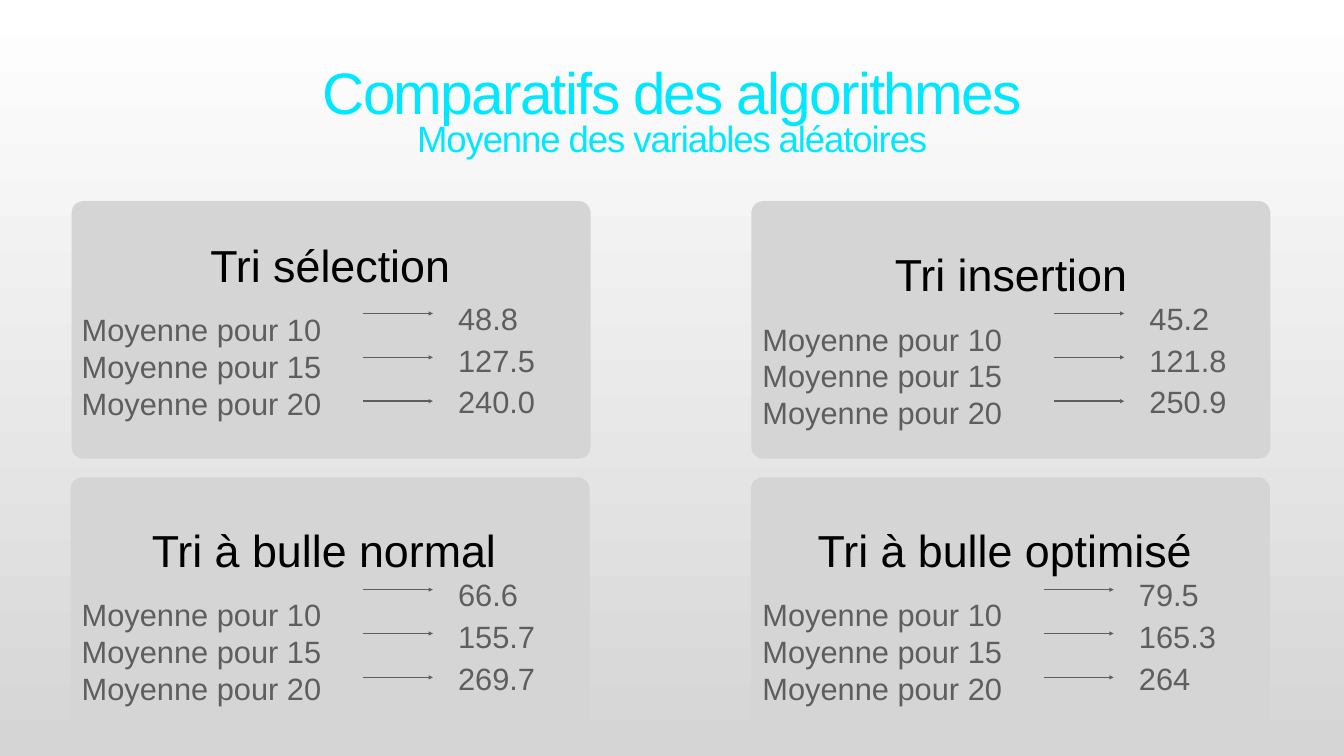
from pptx import Presentation
from pptx.dml.color import RGBColor
from pptx.enum.shapes import MSO_CONNECTOR, MSO_SHAPE
from pptx.enum.text import MSO_ANCHOR, MSO_AUTO_SIZE, PP_ALIGN
from pptx.oxml.ns import qn
from pptx.util import Inches, Pt
from lxml import etree

STRAIGHT = MSO_CONNECTOR.STRAIGHT
ROUNDED = MSO_SHAPE.ROUNDED_RECTANGLE
TOP, MIDDLE, BOTTOM = MSO_ANCHOR.TOP, MSO_ANCHOR.MIDDLE, MSO_ANCHOR.BOTTOM
FIT_SHAPE = MSO_AUTO_SIZE.SHAPE_TO_FIT_TEXT
LEFT, CENTER = PP_ALIGN.LEFT, PP_ALIGN.CENTER

COLORS = {
    "white": "FFFFFF",
    "card": "D5D5D5",
    "title": "00E8FF",
    "heading": "000000",
    "body": "5E5E5E",
}
SIZES = (10, 15, 20)
CARD_WIDTH, CARD_HEIGHT = 10.3, 5.11
ARROW_LENGTH, ARROW_STEP = 1.39, 0.87
VALUE_HEIGHT, VALUE_STEP = 0.94, 0.83

ALGORITHMS = [
    ("Tri sélection", (1.42, 3.99), (1.39, 3.99), 7.2, ("48.8", "127.5", "240.0")),
    ("Tri insertion", (14.91, 3.99), (14.9, 4.17), 20.92, ("45.2", "121.8", "250.9")),
    ("Tri à bulle normal ", (1.4, 9.47), (1.39, 9.64), 7.2, ("66.6", "155.7", "269.7")),
    ("Tri à bulle optimisé ", (14.9, 9.47), (14.9, 9.64), 20.71, ("79.5", "165.3", "264")),
]


def color(name):
    return RGBColor.from_string(COLORS[name])


class SlideBuilder:
    font = "Arial"
    inset = Inches(0.06)

    def __init__(self, slide):
        self.slide = slide

    def background(self, start, end):
        fill = self.slide.background.fill
        fill.gradient()
        fill.gradient_angle = 270
        for stop, name in zip(fill.gradient_stops, (start, end)):
            stop.color.rgb = color(name)

    def text_box(self, left, top, width, height, anchor, wrap=True):
        text_frame = self.slide.shapes.add_textbox(
            Inches(left), Inches(top), Inches(width), Inches(height)).text_frame
        text_frame.margin_left = text_frame.margin_right = self.inset
        text_frame.margin_top = text_frame.margin_bottom = self.inset
        text_frame.vertical_anchor = anchor
        text_frame.word_wrap = wrap
        return text_frame

    def style(self, paragraph, size, color_name, alignment=LEFT):
        paragraph.alignment = alignment
        for run in paragraph.runs:
            run.font.name = self.font
            run.font.size = Pt(size)
            run.font.color.rgb = color(color_name)

    def title(self, text, top, height, size, spacing, anchor):
        text_frame = self.text_box(1.39, top, 23.89, height, anchor)
        text_frame.text = text
        paragraph = text_frame.paragraphs[0]
        paragraph.line_spacing = 0.9
        self.style(paragraph, size, "title", CENTER)
        for run in paragraph.runs:
            run.font._element.set("spc", str(round(spacing * 100)))

    def card(self, left, top):
        shape = self.slide.shapes.add_shape(
            ROUNDED, Inches(left), Inches(top), Inches(CARD_WIDTH), Inches(CARD_HEIGHT))
        shape.adjustments[0] = 0.046
        shape.shadow.inherit = False
        shape.fill.solid()
        shape.fill.fore_color.rgb = color("card")
        shape.line.fill.background()

    def labels(self, heading, left, top):
        text_frame = self.text_box(left, top, 10.32, CARD_HEIGHT, MIDDLE)
        text_frame.text = heading
        heading_paragraph = text_frame.paragraphs[0]
        heading_paragraph.space_after = Pt(28)
        self.style(heading_paragraph, 64, "heading", CENTER)
        for size in SIZES:
            paragraph = text_frame.add_paragraph()
            paragraph.text = f"Moyenne pour {size}"
            paragraph._p.get_or_add_pPr().set("marL", str(Inches(0.17)))
            self.style(paragraph, 44, "body")

    def arrow(self, left, top):
        connector = self.slide.shapes.add_connector(
            STRAIGHT, Inches(left), Inches(top), Inches(left + ARROW_LENGTH), Inches(top))
        connector.line.color.rgb = color("body")
        connector.line.width = Pt(2)
        etree.SubElement(connector.line._get_or_add_ln(), qn("a:tailEnd"), type="triangle")
        etree.SubElement(connector._element.spPr, qn("a:effectLst"))

    def value(self, text, left, top):
        dots = text.count(".")
        width = 0.16 + 0.34 * (len(text) - dots) + 0.17 * dots
        text_frame = self.text_box(left, top, width, VALUE_HEIGHT, MIDDLE, wrap=False)
        text_frame.auto_size = FIT_SHAPE
        text_frame.text = text
        self.style(text_frame.paragraphs[0], 44, "body")


def main():
    presentation = Presentation()
    presentation.slide_width = Inches(26.67)
    presentation.slide_height = Inches(15)
    builder = SlideBuilder(presentation.slides.add_slide(presentation.slide_layouts[6]))

    builder.background("white", "card")
    builder.title("Comparatifs des algorithmes", 0.89, 1.7, 83.5, -2.5, BOTTOM)
    builder.title("Moyenne des variables aléatoires", 2.33, 1.11, 52.2, -1.6, TOP)

    for heading, card_position, label_position, arrow_left, values in ALGORITHMS:
        card_top = card_position[1]
        builder.card(*card_position)
        builder.labels(heading, *label_position)
        for row, value in enumerate(values):
            builder.arrow(arrow_left, card_top + 2.23 + row * ARROW_STEP)
            builder.value(value, arrow_left + 1.83, card_top + 1.85 + row * VALUE_STEP)

    presentation.save("out.pptx")


if __name__ == "__main__":
    main()
